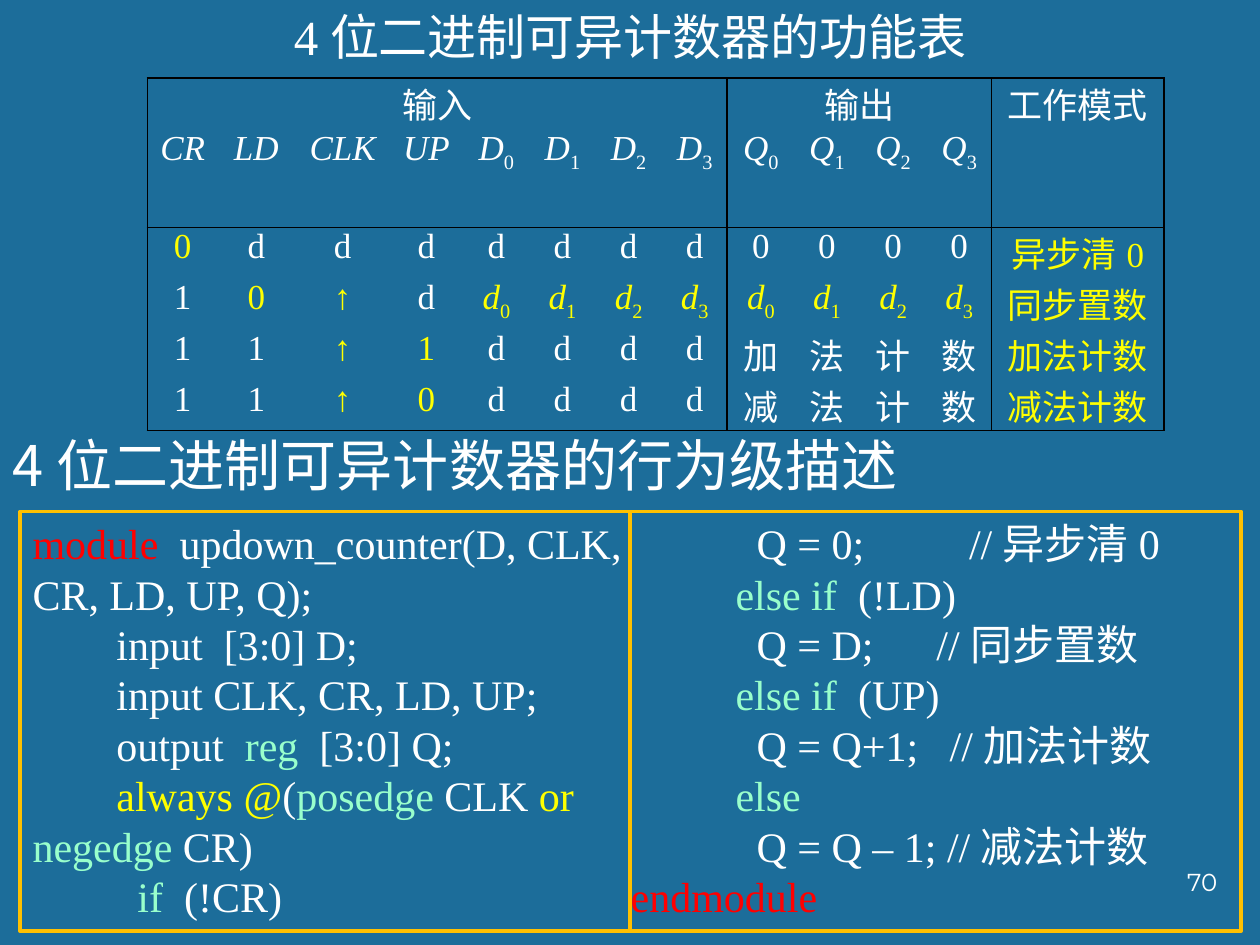
from dataclasses import dataclass
from typing import Optional

from lxml import etree
from pptx import Presentation
from pptx.dml.color import RGBColor
from pptx.enum.shapes import MSO_CONNECTOR, MSO_SHAPE
from pptx.enum.text import MSO_ANCHOR, MSO_AUTO_SIZE, PP_ALIGN
from pptx.oxml.ns import qn
from pptx.util import Inches, Pt

LEFT, MID, RIGHT = PP_ALIGN.LEFT, PP_ALIGN.CENTER, PP_ALIGN.RIGHT
TOP, CENTRE = MSO_ANCHOR.TOP, MSO_ANCHOR.MIDDLE
FIXED = MSO_AUTO_SIZE.NONE
RECT, LINE = MSO_SHAPE.RECTANGLE, MSO_CONNECTOR.STRAIGHT
SERIF, HAN, SANS = "Times New Roman", "Noto Sans CJK SC", "Montserrat"
PLAIN = "{2D5ABB26-0587-4C30-8999-92F81FD0307C}"
COLORS = {
    "back": "1C6D9A",
    "white": "FFFFFF",
    "black": "000000",
    "gold": "FFC000",
    "red": "FF0000",
    "yellow": "FFFF00",
    "mint": "99FFCC",
}


@dataclass
class Part:
    text: str
    color: str = "white"
    italic: bool = False
    sub: bool = False


@dataclass
class Label:
    text: str
    box: tuple
    size: int
    font: str
    align: PP_ALIGN
    anchor: MSO_ANCHOR


TITLE = Label("4位二进制可异计数器的功能表", (0, 0, 10, 0.57), 28, SERIF, MID, CENTRE)
LABELS = [
    Label("4位二进制可异计数器的行为级描述", (0, 3.36, 7.93, 0.64), 32, HAN, LEFT, CENTRE),
    Label("70", (7.68, 6.83, 2.08, 0.5), 14, SANS, RIGHT, TOP),
]

WIDTHS = [0.56, 0.61, 0.76, 0.57] + [0.54, 0.51] * 4 + [1.37]
HEIGHTS = [0.39, 0.78] + [0.39] * 4
GROUPS = [("输入", 0, 0, 7), ("输出", 8, 0, 11), ("工作模式", 12, 1, 12)]
ROWS = [
    "CR LD CLK UP D_0 D_1 D_2 D_3 Q_0 Q_1 Q_2 Q_3",
    "*0 d d d d d d d 0 0 0 0 *异步清0",
    "1 *0 *↑ d *d_0 *d_1 *d_2 *d_3 *d_0 *d_1 *d_2 *d_3 *同步置数",
    "1 1 *↑ *1 d d d d 加 法 计 数 *加法计数",
    "1 1 *↑ *0 d d d d 减 法 计 数 *减法计数",
]

CODE = [
    [Part("module  ", "red"), Part("updown_counter(D, CLK, CR, LD, UP, Q);")],
    [Part("        input  [3:0] D;")],
    [Part("        input CLK, CR, LD, UP;")],
    [Part("        output  "), Part("reg", "mint"), Part("  [3:0] Q;")],
    [Part("        always @", "yellow"), Part("("), Part("posedge", "mint"),
     Part(" CLK "), Part("or ", "yellow"), Part("negedge", "mint"), Part(" CR)")],
    [Part("          if ", "mint"), Part(" (!CR)")],
    [Part("            Q = 0;          //异步清0")],
    [Part("          else if  ", "mint"), Part("(!LD)")],
    [Part("            Q = D;      //同步置数")],
    [Part("          else if  ", "mint"), Part("(UP)")],
    [Part("            Q = Q+1;   //加法计数")],
    [Part("          else", "mint")],
    [Part("            Q = Q – 1; //减法计数")],
    [Part("endmodule", "red")],
]


def rgb(name: str) -> RGBColor:
    return RGBColor.from_string(COLORS[name])


def style(run, size: int, face: str, part: Part) -> None:
    font = run.font
    font.size, font.name, font.italic = Pt(size), face, part.italic
    font.color.rgb = rgb(part.color)
    props = run._r.get_or_add_rPr()
    etree.SubElement(props, qn("a:ea")).set("typeface", HAN)
    if part.sub:
        props.set("baseline", "-25000")


def write(para, parts: list, size: int, face: str, align: PP_ALIGN) -> None:
    para.alignment = align
    for part in parts:
        run = para.add_run()
        run.text = part.text
        style(run, size, face, part)


def place(shape, label: Label) -> None:
    shape.left, shape.top, shape.width, shape.height = map(Inches, label.box)
    frame = shape.text_frame
    frame.word_wrap, frame.auto_size = True, FIXED
    frame.vertical_anchor = label.anchor
    write(frame.paragraphs[0], [Part(label.text)], label.size, label.font, label.align)


def edge(cell, side: str, shown: bool) -> None:
    line = etree.SubElement(cell._tc.get_or_add_tcPr(), qn("a:ln" + side))
    if shown:
        line.set("w", str(Pt(1)))
        fill = etree.SubElement(line, qn("a:solidFill"))
        etree.SubElement(fill, qn("a:srgbClr")).set("val", COLORS["black"])
    else:
        etree.SubElement(line, qn("a:noFill"))


def finish(cell, row: int, col: int) -> None:
    wide = cell.span_width if cell.is_merge_origin else 1
    high = cell.span_height if cell.is_merge_origin else 1
    edge(cell, "L", col in (0, 8, 12))
    edge(cell, "R", col + wide - 1 in (7, 11, 12))
    edge(cell, "T", row in (0, 2))
    edge(cell, "B", row + high - 1 in (1, 5))
    cell.fill.background()
    cell.margin_left = cell.margin_right = Inches(0.07)
    cell.margin_top = cell.margin_bottom = 0


def split(token: str, italic: bool) -> list:
    color = "yellow" if token.startswith("*") else "white"
    main, mark, low = token.lstrip("*").partition("_")
    parts = [Part(main, color, italic or bool(mark))]
    return parts + [Part(low, color, sub=True)] if mark else parts


def draw_table(slide) -> None:
    frame = slide.shapes.add_table(
        len(HEIGHTS), len(WIDTHS), Inches(1.17), Inches(0.62), Inches(8.05), Inches(2.73))
    table = frame.table
    table.first_row = table.horz_banding = False
    table._tbl.tblPr.find(qn("a:tableStyleId")).text = PLAIN
    for col, wide in zip(table.columns, WIDTHS):
        col.width = Inches(wide)
    for row, high in zip(table.rows, HEIGHTS):
        row.height = Inches(high)
    for text, first, low, last in GROUPS:
        cell = table.cell(0, first)
        cell.merge(table.cell(low, last))
        write(cell.text_frame.paragraphs[0], [Part(text)], 20, SERIF, MID)
    for r, line in enumerate(ROWS, 1):
        for c, token in enumerate(line.split()):
            para = table.cell(r, c).text_frame.paragraphs[0]
            write(para, split(token, r == 1), 20, SERIF, MID)
    for r in range(len(HEIGHTS)):
        for c in range(len(WIDTHS)):
            finish(table.cell(r, c), r, c)


def draw_code(slide) -> None:
    panel = slide.shapes.add_shape(RECT, Inches(0.16), Inches(4.06), Inches(9.69), Inches(3.33))
    panel.shadow.inherit = False
    panel.fill.background()
    panel.line.color.rgb, panel.line.width = rgb("gold"), Pt(2.25)
    frame = panel.text_frame
    frame.word_wrap, frame.auto_size, frame.vertical_anchor = True, FIXED, TOP
    frame._txBody.bodyPr.set("numCol", "2")
    for i, parts in enumerate(CODE):
        para = frame.add_paragraph() if i else frame.paragraphs[0]
        para.line_spacing = Pt(28.8)
        write(para, parts, 24, SERIF, LEFT)
    rule = slide.shapes.add_connector(LINE, Inches(5), Inches(4.06), Inches(5), Inches(7.4))
    rule.line.color.rgb, rule.line.width = rgb("gold"), Pt(2.25)
    etree.SubElement(rule._element.spPr, qn("a:effectLst"))


def main(name: Optional[str] = None) -> None:
    deck = Presentation()
    deck.slide_width, deck.slide_height = Inches(10), Inches(7.5)
    slide = deck.slides.add_slide(deck.slide_layouts[5])
    slide.background.fill.solid()
    slide.background.fill.fore_color.rgb = rgb("back")
    place(slide.shapes.title, TITLE)
    draw_code(slide)
    draw_table(slide)
    for label in LABELS:
        place(slide.shapes.add_textbox(0, 0, 0, 0), label)
    deck.save("out.pptx")


if __name__ == "__main__":
    main()
